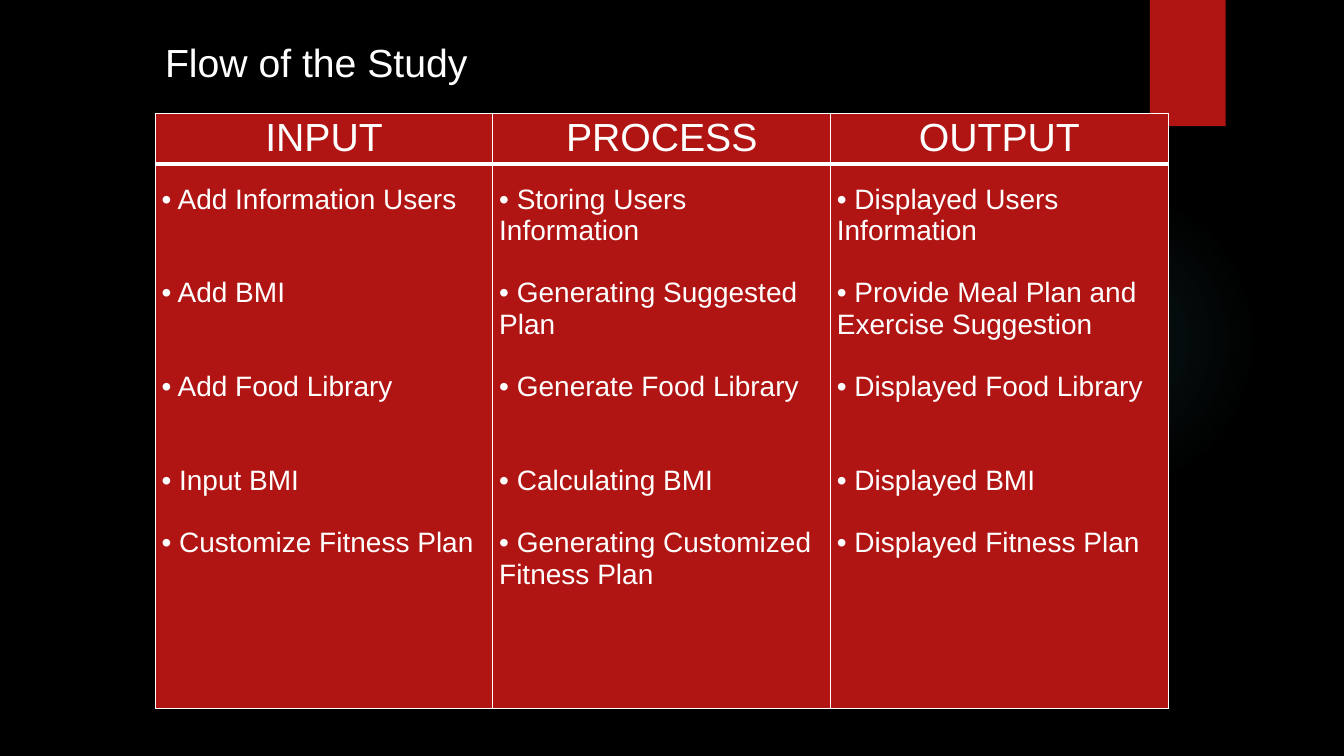
from lxml.etree import SubElement
from pptx import Presentation
from pptx.dml.color import RGBColor
from pptx.enum.shapes import MSO_SHAPE
from pptx.enum.text import MSO_AUTO_SIZE, PP_ALIGN
from pptx.oxml import parse_xml
from pptx.oxml.ns import qn
from pptx.util import Cm, Pt

FONT = "Arial"
WHITE, BLACK, RED, TEAL = "FFFFFF", "000000", "B01513", "50B9C1"
HEADING_SIZE, BODY_SIZE = 28, 20
LINE_HEIGHT = BODY_SIZE * 1.117  # points taken by one line of body text

# Lines from the start of one step to the start of the next
STEP_LINES = [3, 3, 3, 2]

# Each column: heading, then (step, lines it fills)
COLUMNS = [
    ("INPUT", [
        ("Add Information Users", 1),
        ("Add BMI", 1),
        ("Add Food Library", 1),
        ("Input BMI", 1),
        ("Customize Fitness Plan", 1),
    ]),
    ("PROCESS", [
        ("Storing Users Information", 2),
        ("Generating Suggested Plan", 2),
        ("Generate Food Library", 1),
        ("Calculating BMI", 1),
        ("Generating Customized Fitness Plan", 2),
    ]),
    ("OUTPUT", [
        ("Displayed Users Information", 2),
        ("Provide Meal Plan and Exercise Suggestion", 2),
        ("Displayed Food Library", 1),
        ("Displayed BMI", 1),
        ("Displayed Fitness Plan", 1),
    ]),
]


def color(value):
    return RGBColor.from_string(value)


def add_run(paragraph, text, size):
    run = paragraph.add_run()
    run.text = text
    run.font.name = FONT
    run.font.size = Pt(size)
    run.font.color.rgb = color(WHITE)


def add_plain_shape(slide, kind, left, top, width, height, fill):
    shape = slide.shapes.add_shape(kind, Cm(left), Cm(top), Cm(width), Cm(height))
    shape.shadow.inherit = False
    shape.fill.solid()
    shape.fill.fore_color.rgb = color(fill)
    shape.line.fill.background()
    return shape


def set_glow(shape, value, stops):
    """Replace the solid fill by a round gradient of (position %, opacity %)."""
    stop_xml = "".join(
        f'<a:gs pos="{position * 1000}"><a:srgbClr val="{value}">'
        f'<a:alpha val="{opacity * 1000}"/></a:srgbClr></a:gs>'
        for position, opacity in stops
    )
    gradient = parse_xml(
        '<a:gradFill xmlns:a="http://schemas.openxmlformats.org/drawingml/2006/main">'
        f'<a:gsLst>{stop_xml}</a:gsLst><a:path path="circle">'
        '<a:fillToRect l="50000" t="50000" r="50000" b="50000"/></a:path></a:gradFill>'
    )
    properties = shape.element.spPr
    properties.replace(properties.find(qn("a:solidFill")), gradient)


def add_title(slide, text):
    box = slide.shapes.add_textbox(Cm(3.91), Cm(0.84), Cm(8.15), Cm(1.45))
    box.text_frame.word_wrap = False
    box.text_frame.auto_size = MSO_AUTO_SIZE.SHAPE_TO_FIT_TEXT
    add_run(box.text_frame.paragraphs[0], text, HEADING_SIZE)


def style_cell(cell, bottom_width, margin_top=0):
    cell.margin_left = cell.margin_right = Cm(0.16)
    cell.margin_top, cell.margin_bottom = Cm(margin_top), Cm(0)
    properties = cell._tc.get_or_add_tcPr()
    for side, width in (("L", 1), ("R", 1), ("T", 1), ("B", bottom_width)):
        border = SubElement(properties, qn(f"a:ln{side}"), w=str(Pt(width)))
        fill = SubElement(border, qn("a:solidFill"))
        SubElement(fill, qn("a:srgbClr"), val=WHITE)
    cell.fill.solid()
    cell.fill.fore_color.rgb = color(RED)


def fill_heading(cell, heading):
    style_cell(cell, bottom_width=3)
    paragraph = cell.text_frame.paragraphs[0]
    paragraph.alignment = PP_ALIGN.CENTER
    paragraph.line_spacing = 1.06
    add_run(paragraph, heading, HEADING_SIZE)


def fill_steps(cell, steps):
    style_cell(cell, bottom_width=1, margin_top=0.5)
    frame = cell.text_frame
    for index, (step, _) in enumerate(steps):
        paragraph = frame.add_paragraph() if index else frame.paragraphs[0]
        if index:
            free_lines = STEP_LINES[index - 1] - steps[index - 1][1]
            paragraph.space_before = Pt(free_lines * LINE_HEIGHT)
        add_run(paragraph, f"• {step}", BODY_SIZE)


def add_flow_table(slide):
    frame = slide.shapes.add_table(
        2, len(COLUMNS), Cm(3.91), Cm(2.87), Cm(25.53), Cm(14.98)
    )
    table = frame.table
    table.rows[0].height, table.rows[1].height = Cm(1.26), Cm(13.72)
    for index, (heading, steps) in enumerate(COLUMNS):
        table.columns[index].width = Cm(8.51)
        fill_heading(table.cell(0, index), heading)
        fill_steps(table.cell(1, index), steps)


def main():
    presentation = Presentation()
    presentation.slide_width, presentation.slide_height = Cm(33.87), Cm(19.05)
    slide = presentation.slides.add_slide(presentation.slide_layouts[6])

    # Background: black with a faint glow and a red tab
    slide.background.fill.solid()
    slide.background.fill.fore_color.rgb = color(BLACK)
    glow = add_plain_shape(slide, MSO_SHAPE.OVAL, 23.9, 4.65, 7.82, 7.82, TEAL)
    set_glow(glow, TEAL, [(0, 7), (36, 6), (69, 0)])
    add_plain_shape(slide, MSO_SHAPE.RECTANGLE, 28.98, 0, 1.91, 3.18, RED)

    # Content
    add_title(slide, "Flow of the Study")
    add_flow_table(slide)

    presentation.save("out.pptx")


if __name__ == "__main__":
    main()
